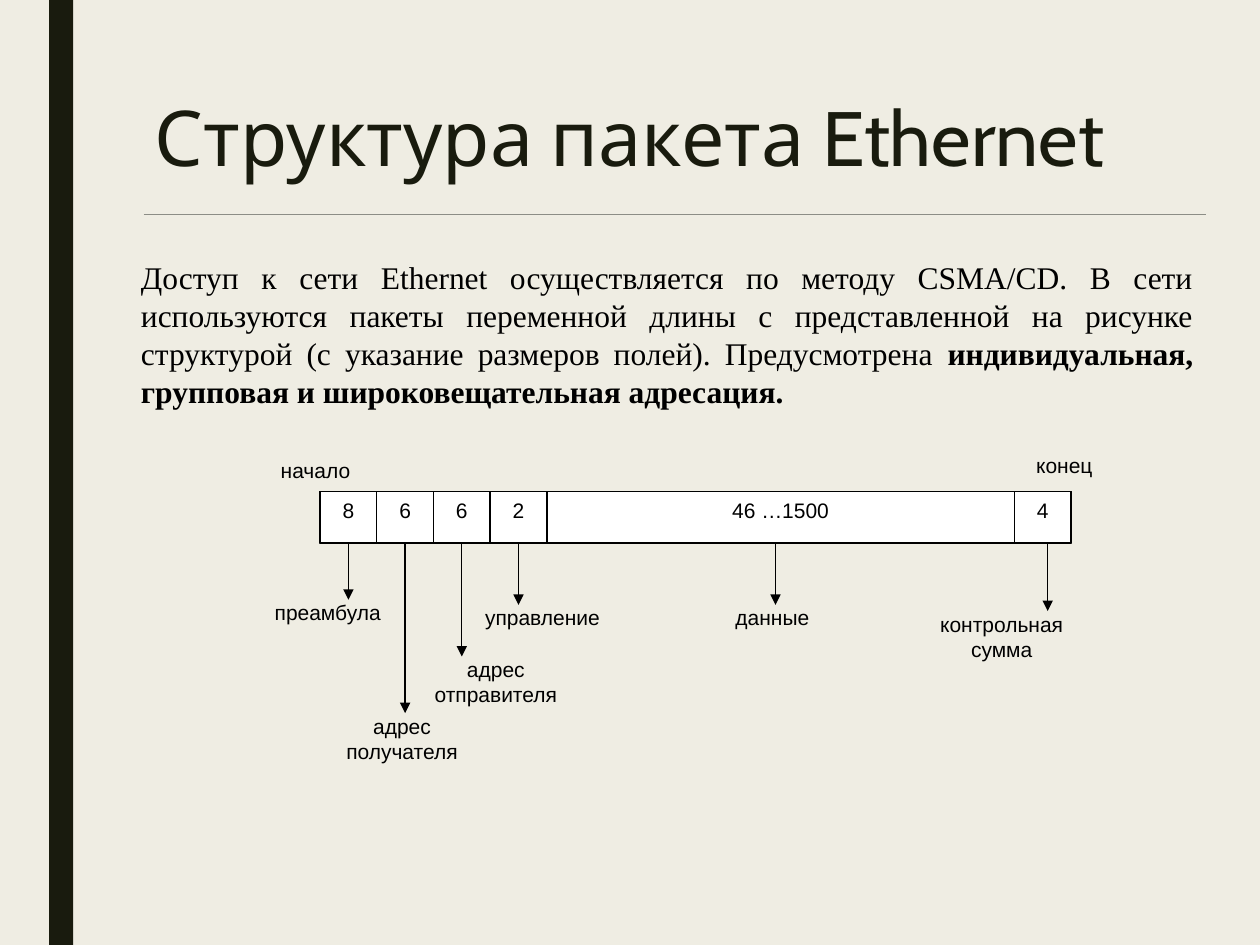
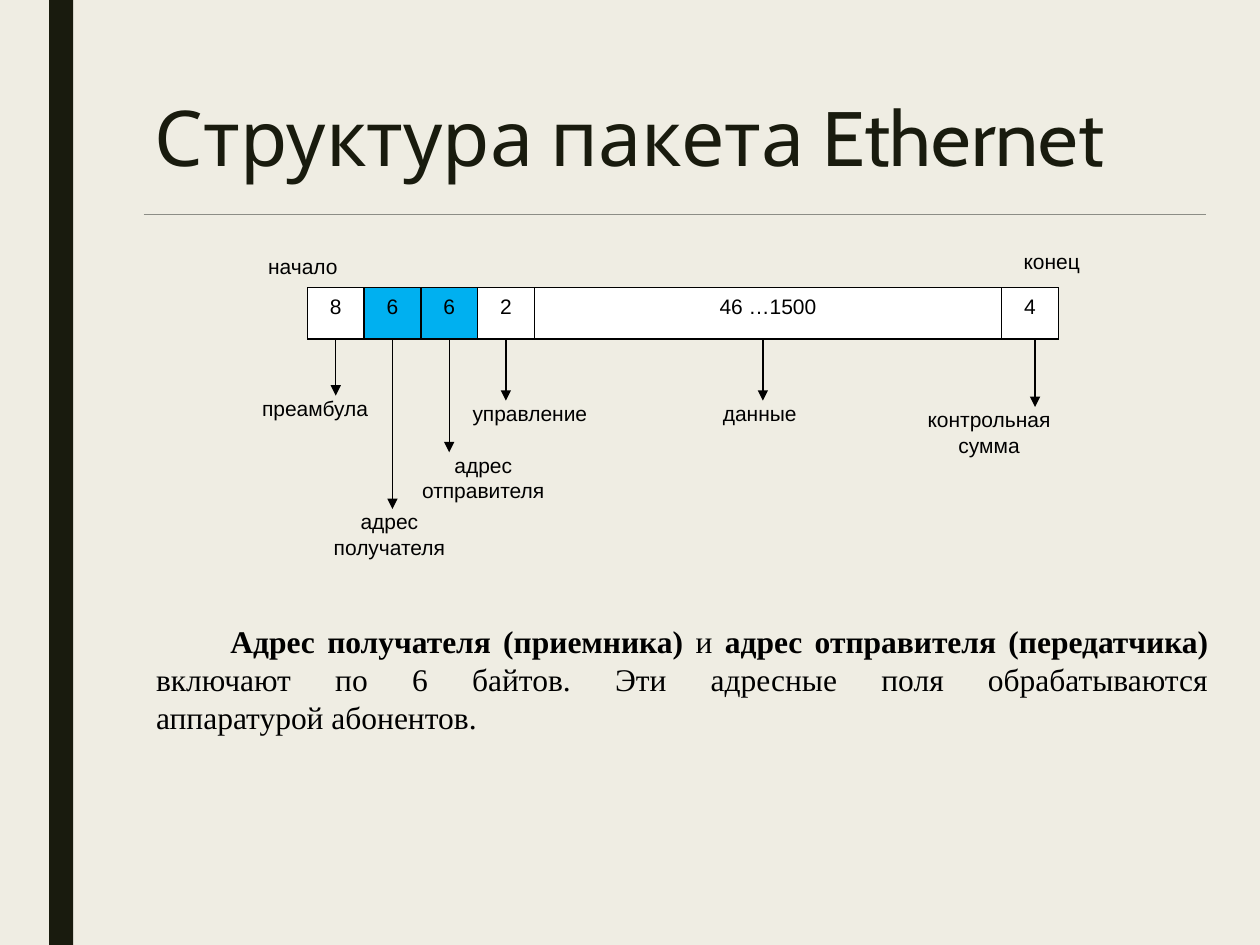
from dataclasses import dataclass
from typing import Optional

from lxml.etree import SubElement
from pptx import Presentation
from pptx.dml.color import RGBColor
from pptx.enum.shapes import MSO_CONNECTOR as Connector, MSO_SHAPE as Shape
from pptx.enum.text import MSO_ANCHOR as Anchor, MSO_AUTO_SIZE as AutoSize, PP_ALIGN as Align
from pptx.oxml.ns import qn
from pptx.util import Inches, Pt

# Shared colours, fonts and measures (inches)
PAPER, DARK, RULE = "EFEDE3", "191B0E", "8C8D86"
BLACK, WHITE, BLUE = "000000", "FFFFFF", "00B0F0"
TITLE_FONT, LABEL_FONT, BODY_FONT = "Cabin", "Arial", "Times New Roman"
TITLE = "Структура пакета Ethernet"
BYTE_WIDTH, DATA_WIDTH, STRIP_HEIGHT = 0.45, 3.71, 0.41
PADDED = (0.1, 0.05, 0.1, 0.05)
FLUSH = (0, 0, 0.1, 0.05)


@dataclass(frozen=True)
class Span:
    text: str
    bold: bool = False


@dataclass(frozen=True)
class Field:
    size: str
    label: tuple[str, ...]
    drop: float            # arrow tip and label top, below the strip's top
    label_left: float      # from the strip's left edge
    label_width: float
    label_height: float = 0.36
    align: Align = Align.CENTER
    width: float = BYTE_WIDTH
    arrow_shift: float = 0  # from the middle of the field
    is_address: bool = False


FIELDS = (
    Field("8", ("преамбула",), 0.86, -0.36, 1.08, align=Align.LEFT),
    Field("6", ("адрес", "получателя"), 1.76, 0.09, 1.22, 0.63, is_address=True),
    Field("6", ("адрес", "отправителя"), 1.31, 0.81, 1.27, 0.63, is_address=True),
    Field("2", ("управление",), 0.9, 1.31, 1.22, align=Align.LEFT),
    Field("46 …1500", ("данные",), 0.9, 3.12, 1.04, width=DATA_WIDTH, arrow_shift=-0.04),
    Field("4", ("контрольная сумма",), 0.95, 4.83, 1.26, 0.59, arrow_shift=0.04),
)


@dataclass(frozen=True)
class PacketPage:
    strip_left: float
    strip_top: float
    address_fill: str
    body_left: float
    body_top: float
    body: tuple[Span, ...]
    first_indent: float = 0


PAGES = (
    PacketPage(2.54, 3.9, WHITE, 1.02, 2, (
        Span("Доступ к сети Ethernet осуществляется по методу CSMA/CD. В сети "
             "используются пакеты переменной длины с представленной на рисунке "
             "структурой (с указание размеров полей). Предусмотрена "),
        Span("индивидуальная, групповая и широковещательная адресация.", True),
    )),
    PacketPage(2.44, 2.28, BLUE, 1.14, 4.89, (
        Span("Адрес получателя (приемника)", True),
        Span(" и "),
        Span("адрес отправителя (передатчика)", True),
        Span(" включают по 6 байтов. Эти адресные поля обрабатываются\n"
             "аппаратурой абонентов."),
    ), first_indent=0.59),
)


def color(code: str) -> RGBColor:
    return RGBColor.from_string(code)


def add_span(para, span: Span, font: str, size: float, code: str = BLACK) -> None:
    for index, line in enumerate(span.text.split("\n")):
        if index:
            para.add_line_break()
        run = para.add_run()
        run.text = line
        run.font.name, run.font.size, run.font.bold = font, Pt(size), span.bold
        run.font.color.rgb = color(code)


def set_frame(frame, insets: tuple[float, ...]) -> None:
    frame.word_wrap = True
    frame.auto_size = AutoSize.NONE
    frame.vertical_anchor = Anchor.TOP
    (frame.margin_left, frame.margin_top,
     frame.margin_right, frame.margin_bottom) = map(Inches, insets)


def write_label(frame, lines: tuple[str, ...], align: Align, insets: tuple[float, ...]) -> None:
    set_frame(frame, insets)
    for index, line in enumerate(lines):
        para = frame.add_paragraph() if index else frame.paragraphs[0]
        para.alignment = align
        add_span(para, Span(line), LABEL_FONT, 12)


def add_box(page, left: float, top: float, width: float, height: float,
            fill: str, line: Optional[str] = None):
    box = page.shapes.add_shape(Shape.RECTANGLE, *map(Inches, (left, top, width, height)))
    box.shadow.inherit = False
    box.fill.solid()
    box.fill.fore_color.rgb = color(fill)
    if line:
        box.line.color.rgb = color(line)
        box.line.width = Pt(0.75)
    else:
        box.line.fill.background()
    return box


def add_text(page, left: float, top: float, width: float, height: float):
    return page.shapes.add_textbox(*map(Inches, (left, top, width, height))).text_frame


def add_line(page, start: tuple[float, float], end: tuple[float, float],
             code: str, weight: float, arrow: bool = False):
    line = page.shapes.add_connector(Connector.STRAIGHT, *map(Inches, start + end))
    line.line.color.rgb = color(code)
    line.line.width = Pt(weight)
    if arrow:
        SubElement(line.line._get_or_add_ln(), qn("a:tailEnd"), type="triangle")
    SubElement(line._element.spPr, qn("a:effectLst"))
    return line


def add_base(deck):
    """Adds a page with the side band, the title and the rule below it."""
    page = deck.slides.add_slide(deck.slide_layouts[5])
    add_box(page, 0.39, 0, 0.19, 7.5, DARK)
    title = page.shapes.title
    title.left, title.top, title.width, title.height = map(Inches, (1.13, 0.75, 7.87, 1.63))
    set_frame(title.text_frame, PADDED)
    para = title.text_frame.paragraphs[0]
    para.alignment = Align.LEFT
    para.line_spacing = 0.89
    add_span(para, Span(TITLE), TITLE_FONT, 44, DARK)
    add_line(page, (1.14, 1.7), (9.57, 1.7), RULE, 0.5)
    return page


def add_packet(page, left: float, top: float, address_fill: str) -> None:
    # Frame of the whole packet and its end captions
    add_box(page, left, top, sum(field.width for field in FIELDS), STRIP_HEIGHT, WHITE, BLACK)
    write_label(add_text(page, left - 0.41, top - 0.32, 0.9, 0.36),
                ("начало",), Align.LEFT, PADDED)
    write_label(add_text(page, left + 5.33, top - 0.36, 0.9, 0.36),
                ("конец",), Align.RIGHT, PADDED)
    # Fields side by side, each with its arrow and label
    field_left = left
    for field in FIELDS:
        fill = address_fill if field.is_address else WHITE
        box = add_box(page, field_left, top, field.width, STRIP_HEIGHT, fill, BLACK)
        write_label(box.text_frame, (field.size,), Align.CENTER, PADDED)
        arrow_x = field_left + field.width / 2 + field.arrow_shift
        tip = top + field.drop
        arrow = add_line(page, (arrow_x, top + STRIP_HEIGHT), (arrow_x, tip), BLACK, 0.75, True)
        if not field.arrow_shift:
            arrow.begin_connect(box, 2)
        label = add_text(page, left + field.label_left, tip, field.label_width, field.label_height)
        write_label(label, field.label, field.align, FLUSH)
        field_left += field.width


def add_body(page, content: PacketPage) -> None:
    frame = add_text(page, content.body_left, content.body_top, 8.55, 1.3)
    set_frame(frame, PADDED)
    para = frame.paragraphs[0]
    para.alignment = Align.JUSTIFY
    if content.first_indent:
        para._p.get_or_add_pPr().set("indent", str(Inches(content.first_indent)))
    for span in content.body:
        add_span(para, span, BODY_FONT, 18)


def main() -> None:
    deck = Presentation()
    deck.slide_width, deck.slide_height = Inches(10), Inches(7.5)
    background = deck.slide_master.background.fill
    background.solid()
    background.fore_color.rgb = color(PAPER)
    for content in PAGES:
        page = add_base(deck)
        add_packet(page, content.strip_left, content.strip_top, content.address_fill)
        add_body(page, content)
    deck.save("out.pptx")


if __name__ == "__main__":
    main()
